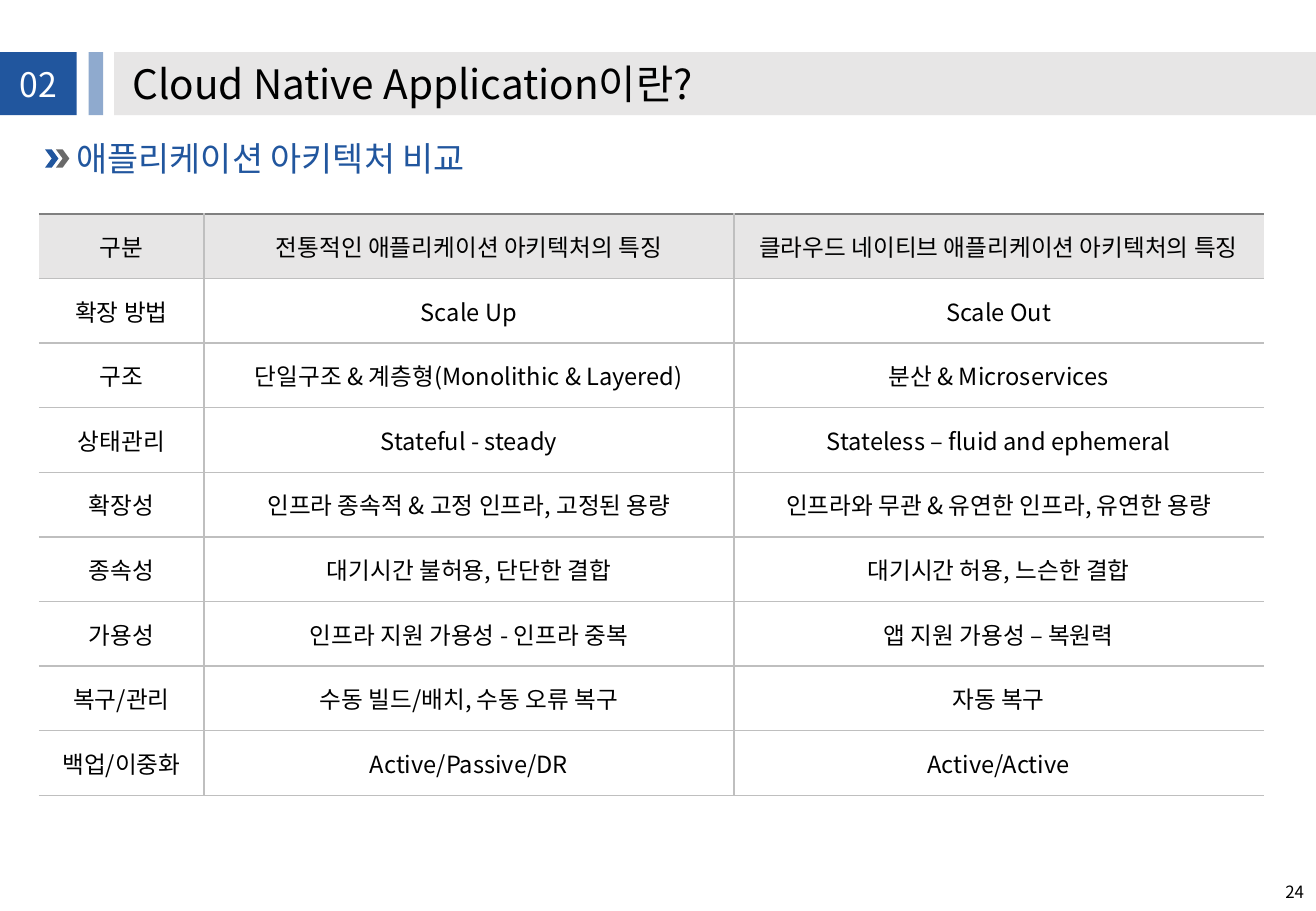
from dataclasses import dataclass
from typing import Optional

from lxml import etree
from pptx import Presentation
from pptx.dml.color import RGBColor
from pptx.enum.shapes import MSO_SHAPE
from pptx.enum.text import MSO_ANCHOR, PP_ALIGN
from pptx.oxml.ns import qn
from pptx.util import Emu, Inches, Pt

RECTANGLE, CHEVRON = MSO_SHAPE.RECTANGLE, MSO_SHAPE.CHEVRON
LEFT, CENTER, RIGHT = PP_ALIGN.LEFT, PP_ALIGN.CENTER, PP_ALIGN.RIGHT
MIDDLE, BOTTOM = MSO_ANCHOR.MIDDLE, MSO_ANCHOR.BOTTOM
SLIDE_WIDTH, SLIDE_HEIGHT = Inches(10.83), Inches(7.5)
TITLE_ONLY = 5


@dataclass(frozen=True)
class Theme:
    font: str = "Noto Sans CJK KR"
    blue: str = "21569E"
    gray: str = "696969"
    band: str = "E7E6E6"
    rule: str = "BFBFBF"
    top_rule: str = "808080"
    black: str = "000000"
    white: str = "FFFFFF"
    title_size: int = 24
    heading_size: int = 20
    table_size: int = 14
    number_size: int = 10
    rule_width: int = 1


THEME = Theme()


@dataclass(frozen=True)
class Box:
    left: float
    top: float
    width: float
    height: float

    def lengths(self) -> tuple[Emu, Emu, Emu, Emu]:
        return (
            Emu(round(SLIDE_WIDTH * self.left / 100)),
            Emu(round(SLIDE_HEIGHT * self.top / 100)),
            Emu(round(SLIDE_WIDTH * self.width / 100)),
            Emu(round(SLIDE_HEIGHT * self.height / 100)),
        )


@dataclass(frozen=True)
class Block:
    box: Box
    color: str
    preset: int = RECTANGLE
    opacity: Optional[int] = None


@dataclass(frozen=True)
class Label:
    box: Box
    text: str
    size: int
    color: str
    align: int = LEFT
    anchor: int = MIDDLE
    line_spacing: float = 0.9
    wrap: bool = True


BLOCKS = [
    Block(Box(8.68, 5.73, 91.32, 6.93), THEME.band),
    Block(Box(0, 5.73, 5.82, 6.93), THEME.blue),
    Block(Box(6.74, 5.73, 1.11, 6.93), THEME.blue, opacity=50),
    Block(Box(3.42, 16.4, 1.02, 2), THEME.blue, CHEVRON),
    Block(Box(4.25, 16.4, 1.02, 2), THEME.gray, CHEVRON),
]
TITLE = Label(Box(10.06, 7.07, 43.49, 4.8), "Cloud Native Application이란?",
              THEME.title_size, THEME.black, anchor=BOTTOM, wrap=False)
LABELS = [
    Label(Box(5.82, 15.6, 90.67, 4), "애플리케이션 아키텍처 비교", THEME.heading_size, THEME.blue),
    Label(Box(0.74, 7.47, 4.34, 4), "02", THEME.heading_size, THEME.white, CENTER),
    Label(Box(89.66, 95.74, 9.42, 4.26), "24", THEME.number_size, THEME.black, RIGHT,
          line_spacing=1),
]
TABLE_BOX = Box(2.95, 23.47, 93.07, 63.87)
COLUMN_SHARES = (0.135, 0.4325, 0.4325)
ROWS = [
    ("구분", "전통적인 애플리케이션 아키텍처의 특징", "클라우드 네이티브 애플리케이션 아키텍처의 특징"),
    ("확장 방법", "Scale Up", "Scale Out"),
    ("구조", "단일구조 & 계층형(Monolithic & Layered)", "분산 & Microservices"),
    ("상태관리", "Stateful - steady", "Stateless – fluid and ephemeral"),
    ("확장성", "인프라 종속적 & 고정 인프라, 고정된 용량", "인프라와 무관 & 유연한 인프라, 유연한 용량"),
    ("종속성", "대기시간 불허용, 단단한 결합", "대기시간 허용, 느슨한 결합"),
    ("가용성", "인프라 지원 가용성 - 인프라 중복", "앱 지원 가용성 – 복원력"),
    ("복구/관리", "수동 빌드/배치, 수동 오류 복구", "자동 복구"),
    ("백업/이중화", "Active/Passive/DR", "Active/Active"),
]


def format_text(text_frame, text: str, size: int, color: str, align: int) -> None:
    text_frame.text = text
    paragraph = text_frame.paragraphs[0]
    paragraph.alignment = align
    paragraph.space_before = Pt(0)
    for run in paragraph.runs:
        run.font.size = Pt(size)
        run.font.bold = False
        run.font.color.rgb = RGBColor.from_string(color)
        run.font.name = THEME.font
        east_asian = etree.SubElement(run.font._element, qn("a:ea"))
        east_asian.set("typeface", THEME.font)


def draw_block(slide, block: Block) -> None:
    shape = slide.shapes.add_shape(block.preset, *block.box.lengths())
    shape.shadow.inherit = False
    shape.line.fill.background()
    shape.fill.solid()
    shape.fill.fore_color.rgb = RGBColor.from_string(block.color)
    if block.opacity is not None:
        color = shape.fill._xPr.find(".//" + qn("a:srgbClr"))
        etree.SubElement(color, qn("a:alpha")).set("val", str(block.opacity * 1000))


def fill_label(shape, label: Label) -> None:
    shape.left, shape.top, shape.width, shape.height = label.box.lengths()
    text_frame = shape.text_frame
    text_frame.margin_left = text_frame.margin_right = 0
    text_frame.margin_top = text_frame.margin_bottom = 0
    text_frame.word_wrap = label.wrap
    text_frame.vertical_anchor = label.anchor
    format_text(text_frame, label.text, label.size, label.color, label.align)
    text_frame.paragraphs[0].line_spacing = label.line_spacing


def draw_border(cell, side: str, color: Optional[str]) -> None:
    line = etree.SubElement(cell._tc.get_or_add_tcPr(), qn(f"a:ln{side}"))
    line.set("w", str(Pt(THEME.rule_width)))
    if color is None:
        etree.SubElement(line, qn("a:noFill"))
    else:
        fill = etree.SubElement(line, qn("a:solidFill"))
        etree.SubElement(fill, qn("a:srgbClr")).set("val", color)


def draw_table(slide) -> None:
    left, top, width, height = TABLE_BOX.lengths()
    last_column = len(COLUMN_SHARES) - 1
    table = slide.shapes.add_table(
        len(ROWS), len(COLUMN_SHARES), left, top, width, height).table
    table.first_row = table.horz_banding = False
    for column, share in zip(table.columns, COLUMN_SHARES):
        column.width = Emu(round(width * share))
    for row_index, texts in enumerate(ROWS):
        is_header = row_index == 0
        for column_index, text in enumerate(texts):
            cell = table.cell(row_index, column_index)
            cell.vertical_anchor = MIDDLE
            format_text(cell.text_frame, text, THEME.table_size, THEME.black, CENTER)
            draw_border(cell, "L", THEME.rule if column_index > 0 else None)
            draw_border(cell, "R", THEME.rule if column_index < last_column else None)
            draw_border(cell, "T", THEME.top_rule if is_header else THEME.rule)
            draw_border(cell, "B", THEME.rule)
            if is_header:
                cell.fill.solid()
                cell.fill.fore_color.rgb = RGBColor.from_string(THEME.band)
            else:
                cell.fill.background()


def main() -> None:
    presentation = Presentation()
    presentation.slide_width, presentation.slide_height = SLIDE_WIDTH, SLIDE_HEIGHT
    slide = presentation.slides.add_slide(presentation.slide_layouts[TITLE_ONLY])
    for block in BLOCKS:
        draw_block(slide, block)
    title = slide.shapes.title
    slide.shapes._spTree.append(title._element)
    fill_label(title, TITLE)
    for label in LABELS:
        fill_label(slide.shapes.add_textbox(*label.box.lengths()), label)
    draw_table(slide)
    presentation.save("out.pptx")


if __name__ == "__main__":
    main()
